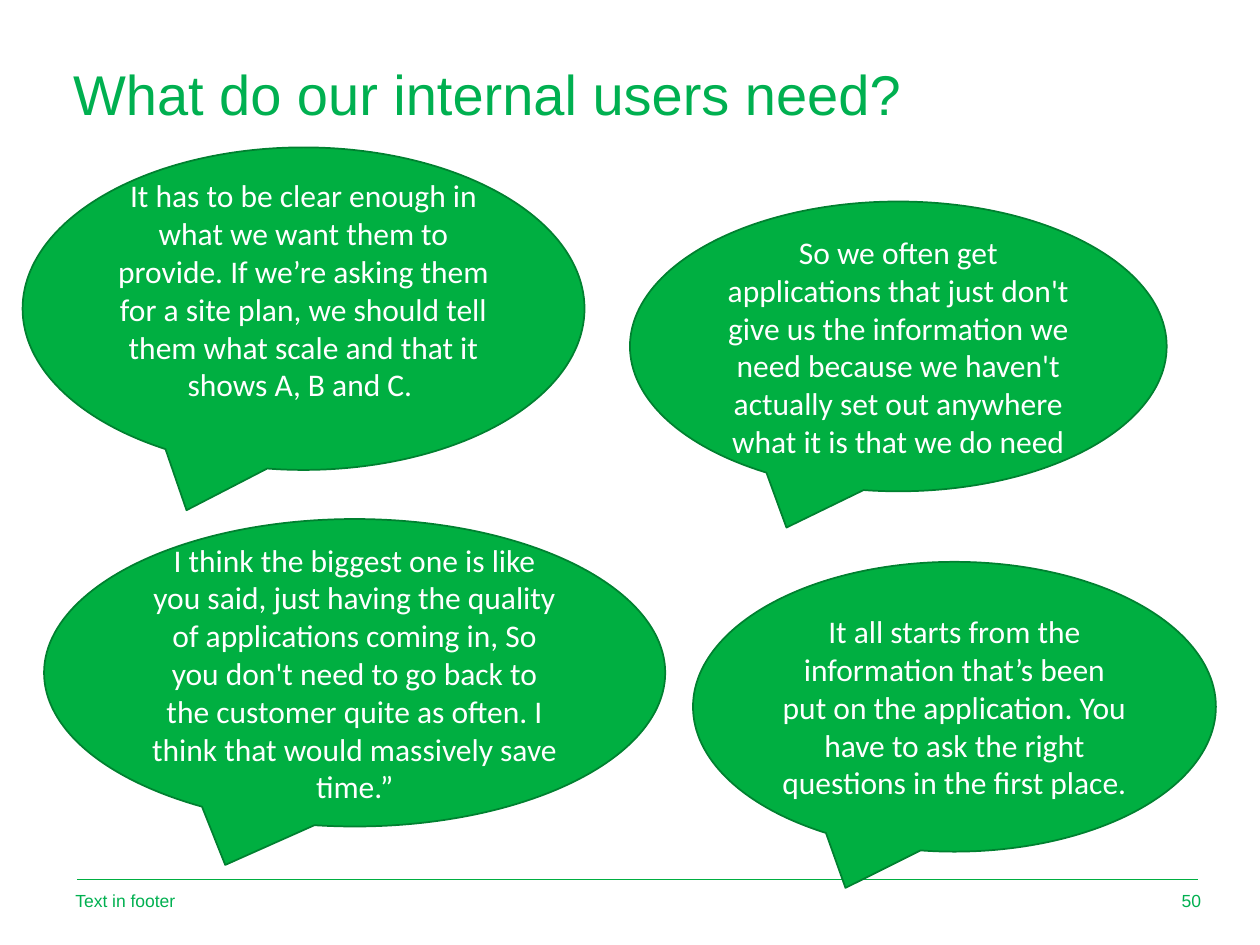
from dataclasses import dataclass

from pptx import Presentation
from pptx.dml.color import RGBColor
from pptx.enum.shapes import MSO_CONNECTOR, MSO_SHAPE
from pptx.enum.text import MSO_ANCHOR, PP_ALIGN
from pptx.oxml.ns import qn
from pptx.util import Inches, Pt
from lxml.etree import SubElement

TEXT_GREEN = RGBColor(0x00, 0xB0, 0x50)
BUBBLE_GREEN = RGBColor(0x00, 0xAF, 0x41)
OUTLINE_GREEN = RGBColor(0x00, 0x81, 0x30)
WHITE = RGBColor(0xFF, 0xFF, 0xFF)


@dataclass
class Quote:
    left: float
    top: float
    width: float
    height: float
    text: str
    bottom_inset: float = 0.05


@dataclass
class FooterText:
    left: float
    width: float
    text: str
    align: PP_ALIGN


QUOTES = [
    Quote(5, 1.6, 4.26, 2.3,
          "So we often get applications that just don't give us the information "
          "we need because we haven't actually set out anywhere what it is that "
          "we do need"),
    Quote(0.35, 4.12, 4.93, 2.44,
          "I think the biggest one is like you said, just having the quality of "
          "applications coming in, So you don't need to go back to the customer "
          "quite as often. I think that would massively save time.”"),
    Quote(0.18, 1.17, 4.46, 2.56,
          "It has to be clear enough in what we want them to provide. If we’re "
          "asking them for a site plan, we should tell them what scale and that "
          "it shows A, B and C. ", bottom_inset=0.35),
    Quote(5.5, 4.46, 4.15, 2.3,
          "It all starts from the information that’s been put on the "
          "application. You have to ask the right questions in the first place. "),
]

FOOTER = [
    FooterText(0.5, 6.21, "Text in footer", PP_ALIGN.LEFT),
    FooterText(9.18, 0.45, "50", PP_ALIGN.RIGHT),
]


def style_paragraph(p, font: str, size: float, color: RGBColor, align: PP_ALIGN) -> None:
    p.alignment = align
    p.font.name = font
    p.font.size = Pt(size)
    p.font.color.rgb = color


def add_title(slide, text: str) -> None:
    title = slide.shapes.title
    title.left, title.top = Inches(0.48), Inches(0.51)
    title.width, title.height = Inches(9.04), Inches(0.53)
    tf = title.text_frame
    tf.text = text
    tf.vertical_anchor = MSO_ANCHOR.MIDDLE
    p = tf.paragraphs[0]
    p.line_spacing = 0.9
    style_paragraph(p, "Arial", 32, TEXT_GREEN, PP_ALIGN.LEFT)


def add_footer_rule(slide) -> None:
    y = Inches(6.98)
    rule = slide.shapes.add_connector(
        MSO_CONNECTOR.STRAIGHT, Inches(0.61), y, Inches(9.51), y)
    rule.line.color.rgb = BUBBLE_GREEN
    rule.line.width = Pt(0.5)
    SubElement(rule._element.spPr, qn("a:effectLst"))


def add_footer_text(slide, footer: FooterText) -> None:
    box = slide.shapes.add_textbox(
        Inches(footer.left), Inches(6.95), Inches(footer.width), Inches(0.4))
    tf = box.text_frame
    tf.word_wrap = True
    tf.vertical_anchor = MSO_ANCHOR.MIDDLE
    tf.text = footer.text
    p = tf.paragraphs[0]
    p.space_after = Pt(6)
    style_paragraph(p, "Arial", 10, TEXT_GREEN, footer.align)


def add_bubble(slide, quote: Quote) -> None:
    sp = slide.shapes.add_shape(
        MSO_SHAPE.OVAL_CALLOUT, Inches(quote.left), Inches(quote.top),
        Inches(quote.width), Inches(quote.height))
    sp.shadow.inherit = False
    sp.fill.solid()
    sp.fill.fore_color.rgb = BUBBLE_GREEN
    sp.line.color.rgb = OUTLINE_GREEN
    sp.line.width = Pt(1)
    tf = sp.text_frame
    tf.word_wrap = True
    tf.vertical_anchor = MSO_ANCHOR.MIDDLE
    tf.margin_bottom = Inches(quote.bottom_inset)
    tf.text = quote.text
    style_paragraph(tf.paragraphs[0], "Calibri", 18, WHITE, PP_ALIGN.CENTER)


def main() -> None:
    prs = Presentation()
    prs.slide_width, prs.slide_height = Inches(10), Inches(7.5)
    slide = prs.slides.add_slide(prs.slide_layouts.get_by_name("Title Only"))
    add_footer_rule(slide)
    add_title(slide, "What do our internal users need?")
    for footer in FOOTER:
        add_footer_text(slide, footer)
    for quote in QUOTES:
        add_bubble(slide, quote)
    prs.save("out.pptx")


if __name__ == "__main__":
    main()
